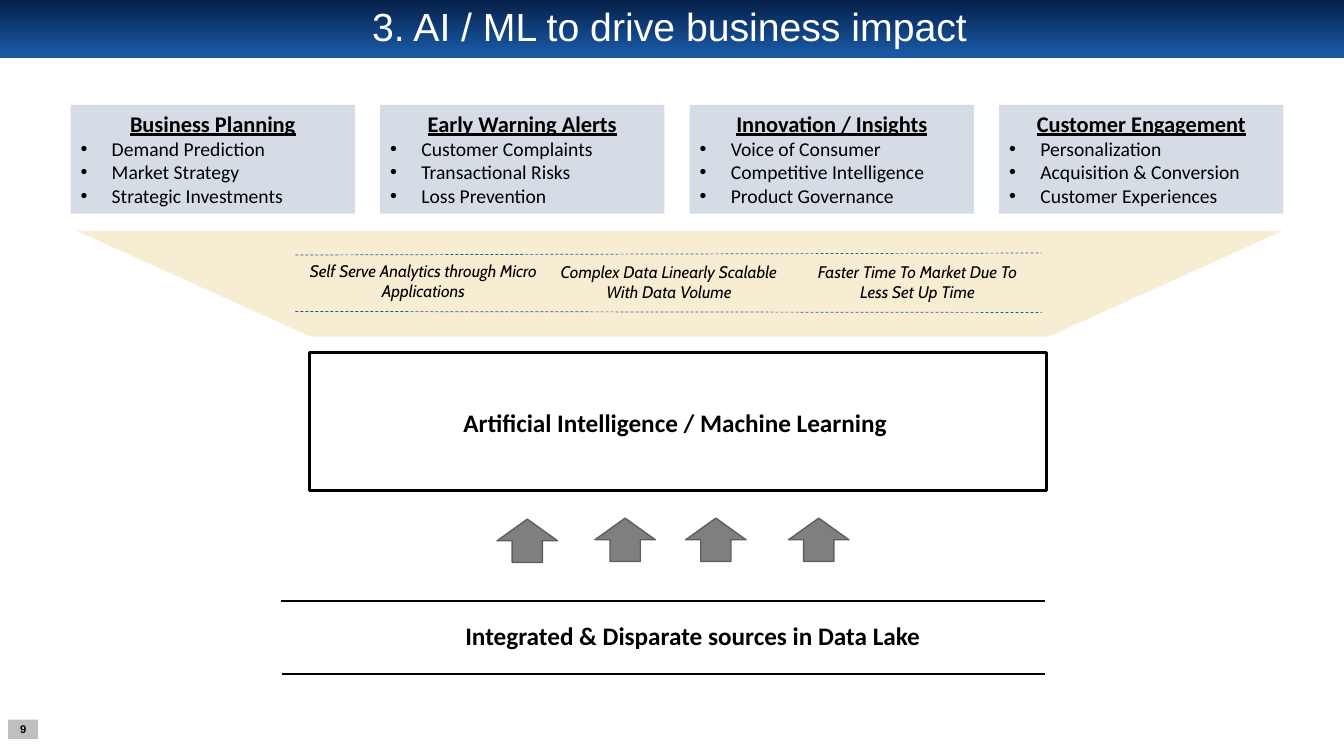
"""Build the AI / ML business impact slide."""
from dataclasses import dataclass

import pptx
import pptx.dml.color
import pptx.enum.dml
import pptx.enum.shapes
import pptx.enum.text
import pptx.oxml.ns
import pptx.util
from lxml import etree

Inches = pptx.util.Inches
Kind = pptx.enum.shapes.MSO_SHAPE
Align = pptx.enum.text.PP_ALIGN
Anchor = pptx.enum.text.MSO_ANCHOR


@dataclass(frozen=True)
class Theme:
    white: str = "FFFFFF"
    black: str = "000000"
    navy: str = "052049"
    blue: str = "1957A3"
    card: str = "D6DCE5"
    sand: str = "F7EDD2"
    silver: str = "BFBFBF"
    gray: str = "7F7F7F"
    edge: str = "5E5E5E"
    head: str = "Arial"
    body: str = "Calibri"
    note: str = "Cabin"
    title: int = 28
    label: int = 18
    topic: int = 16
    item: int = 14
    small: int = 12
    page: int = 8


THEME = Theme()

CARDS = [
    ("Business Planning",
     ["Demand Prediction", "Market Strategy", "Strategic Investments"]),
    ("Early Warning Alerts",
     ["Customer Complaints", "Transactional Risks", "Loss Prevention"]),
    ("Innovation / Insights",
     ["Voice of Consumer", "Competitive Intelligence", "Product Governance"]),
    ("Customer Engagement",
     ["Personalization", "Acquisition & Conversion", "Customer Experiences"]),
]
NOTES = [
    ("Self Serve Analytics through Micro Applications", 2.93, 2.41, 2.54),
    ("Complex Data Linearly Scalable With Data Volume", 5.3, 2.42, 2.67),
    ("Faster Time To Market Due To Less Set Up Time", 7.86, 2.42, 2.48),
]
ARROWS = [(4.93, 5.15), (5.9, 5.14), (6.8, 5.14), (7.82, 5.14)]
DASHES = [(2.93, 3.09, 10.33, 3.1), (2.93, 2.53, 10.33, 2.51)]
RULES = [(2.79, 5.96, 10.36, 5.96), (2.8, 6.69, 10.36, 6.69)]


def color(code):
    return pptx.dml.color.RGBColor.from_string(code)


def add_form(slide, kind, box, fill=None, line=None, width=1):
    form = slide.shapes.add_shape(kind, *map(Inches, box))
    form.shadow.inherit = False
    if fill:
        form.fill.solid()
        form.fill.fore_color.rgb = color(fill)
    else:
        form.fill.background()
    if line:
        form.line.color.rgb = color(line)
        form.line.width = pptx.util.Pt(width)
    else:
        form.line.fill.background()
    return form


def style(para, size, face, tint=THEME.black, align=Align.CENTER, **marks):
    para.alignment = align
    for run in para.runs:
        font = run.font
        font.size, font.name = pptx.util.Pt(size), face
        font.color.rgb = color(tint)
        for mark, value in marks.items():
            setattr(font, mark, value)


def write(shape, text, size, face, tint=THEME.black, **marks):
    frame = shape.text_frame
    frame.word_wrap = True
    frame.vertical_anchor = Anchor.MIDDLE
    frame.text = text
    style(frame.paragraphs[0], size, face, tint, **marks)
    return frame


def add_text(slide, box, *args, **marks):
    shape = slide.shapes.add_textbox(*map(Inches, box))
    return write(shape, *args, **marks)


def add_line(slide, ends, tint, width, dash=None):
    line = slide.shapes.add_connector(
        pptx.enum.shapes.MSO_CONNECTOR.STRAIGHT, *map(Inches, ends))
    line.line.color.rgb = color(tint)
    line.line.width = pptx.util.Pt(width)
    if dash:
        line.line.dash_style = dash
    etree.SubElement(line._element.spPr, pptx.oxml.ns.qn("a:effectLst"))


def add_bullet(para):
    props = para._p.get_or_add_pPr()
    indent = Inches(0.31)
    props.set("marL", str(indent))
    props.set("indent", str(-indent))
    for tag, key, value in (("a:buFont", "typeface", THEME.head),
                            ("a:buChar", "char", "•")):
        etree.SubElement(props, pptx.oxml.ns.qn(tag)).set(key, value)


def add_card(slide, left, topic, items):
    card = add_form(slide, Kind.RECTANGLE, (left, 1.04, 2.82, 1.08), THEME.card)
    frame = write(card, topic, THEME.topic, THEME.body, bold=True, underline=True)
    frame.vertical_anchor = Anchor.TOP
    for item in items:
        para = frame.add_paragraph()
        para.text = item
        add_bullet(para)
        style(para, THEME.item, THEME.body, align=Align.LEFT)


def add_head(slide):
    band = add_form(slide, Kind.RECTANGLE, (0, 0, 13.33, 0.58))
    band.fill.gradient()
    band.fill.gradient_angle = 270
    stops = zip(band.fill.gradient_stops, (THEME.navy, THEME.blue), (0, 0.9))
    for stop, tint, place in stops:
        stop.color.rgb = color(tint)
        stop.position = place
    frame = add_text(slide, (0.66, 0.06, 11.96, 0.45),
                     "3. AI / ML to drive business impact",
                     THEME.title, THEME.head, THEME.white)
    frame.paragraphs[0].line_spacing = 0.9


def add_page(slide):
    tag = add_form(slide, Kind.RECTANGLE, (0.08, 7.14, 0.3, 0.19), THEME.silver)
    frame = write(tag, "9", THEME.page, THEME.head, bold=True)
    frame.word_wrap = False
    frame.margin_left = frame.margin_right = 0
    frame.margin_top = frame.margin_bottom = 0


def add_label(slide, box, text):
    label = add_form(slide, Kind.RECTANGLE, box, THEME.white)
    write(label, text, THEME.label, THEME.body, bold=True)


def main():
    deck = pptx.Presentation()
    deck.slide_width, deck.slide_height = Inches(13.33), Inches(7.5)
    slide = deck.slides.add_slide(deck.slide_layouts[6])
    add_head(slide)
    add_page(slide)

    funnel = add_form(slide, Kind.TRAPEZOID, (0.76, 2.29, 11.96, 1.05), THEME.sand)
    funnel.adjustments[0] = 2.21
    funnel.rotation = 180
    for text, left, top, width in NOTES:
        add_text(slide, (left, top, width, 0.76), text,
                 THEME.small, THEME.note, italic=True)
    for ends in DASHES:
        add_line(slide, ends, THEME.blue, 0.5, pptx.enum.dml.MSO_LINE.DASH)

    for index, (topic, items) in enumerate(CARDS):
        add_card(slide, 0.7 + 3.07 * index, topic, items)

    add_label(slide, (4.47, 3.99, 4.51, 0.4),
              "Artificial Intelligence / Machine Learning ")
    add_form(slide, Kind.RECTANGLE, (3.07, 3.5, 7.31, 1.37),
             line=THEME.black, width=2.25)
    add_label(slide, (3.72, 6.08, 6.36, 0.45),
              "Integrated & Disparate sources in Data Lake ")
    for ends in RULES:
        add_line(slide, ends, THEME.black, 1.5)
    for left, top in ARROWS:
        arrow = add_form(slide, Kind.DOWN_ARROW, (left, top, 0.6, 0.43),
                         THEME.gray, THEME.edge)
        arrow.rotation = 180
    deck.save("out.pptx")


if __name__ == "__main__":
    main()
